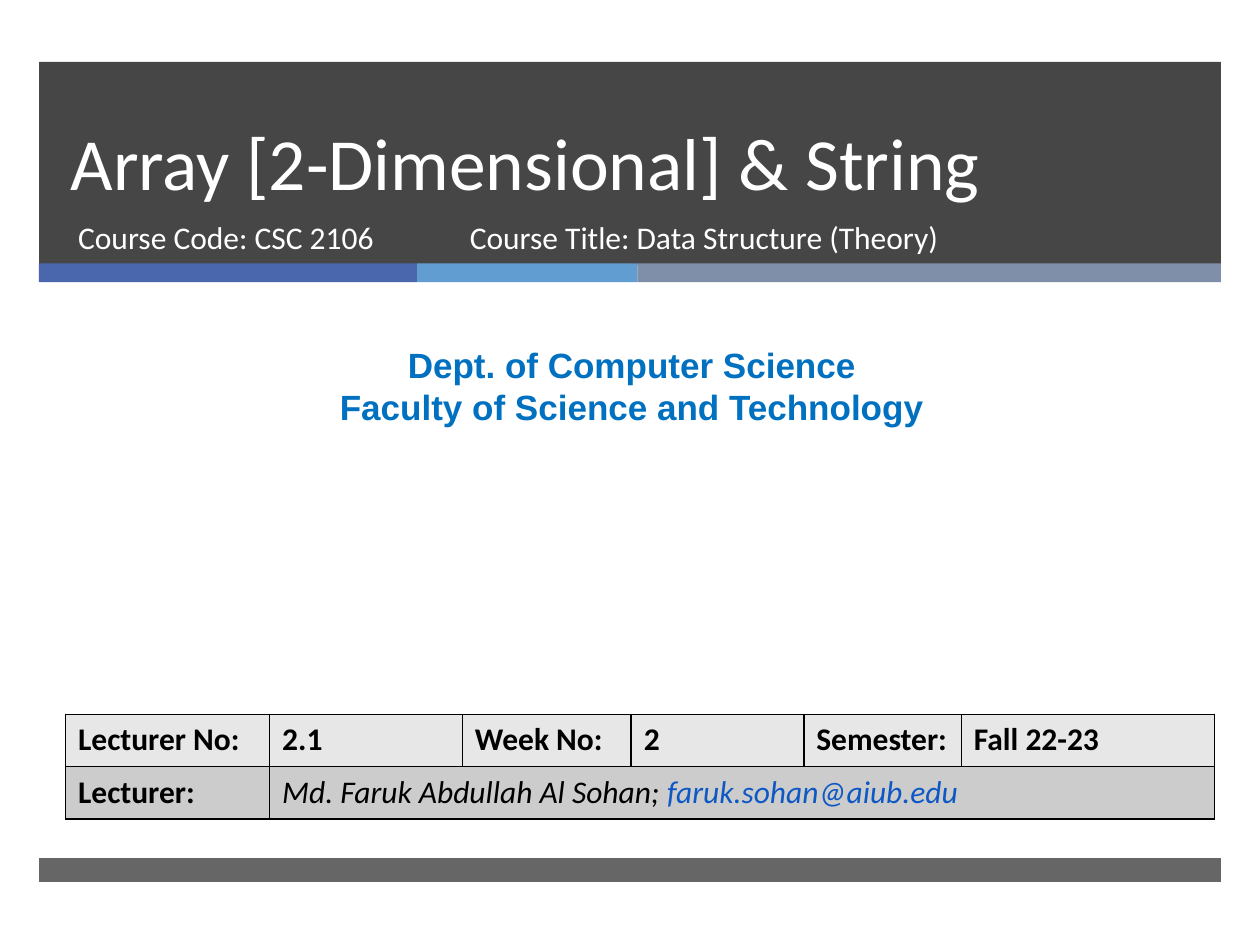
import pptx
import pptx.dml.color
import pptx.enum.shapes
import pptx.enum.text
import pptx.oxml
import pptx.oxml.ns
import pptx.util
from pptx.util import Inches

COLORS = {
    "dark": "262626", "blue": "4A66AC", "sky": "629DD1", "slate": "7F8FA9",
    "white": "FFFFFF", "dept": "0070C0", "black": "000000", "mail": "0E58C4",
    "light": "E7E7E7", "gray": "CCCCCC",
}
ALIGN = pptx.enum.text.PP_ALIGN
ANCHOR = pptx.enum.text.MSO_ANCHOR


def rgb(name):
    return pptx.dml.color.RGBColor.from_string(COLORS[name])


def style(font, size, color, face="Calibri", bold=False):
    font.name, font.size, font.bold = face, pptx.util.Pt(size), bold
    font.color.rgb = rgb(color)


def move(shape, left, top, width, height):
    shape.left, shape.top = left, top
    shape.width, shape.height = width, height


def bar(slide, left, top, width, height, color, alpha=None):
    """Draw a plain rectangle; alpha is its opacity in percent."""
    kind = pptx.enum.shapes.MSO_SHAPE.RECTANGLE
    shape = slide.shapes.add_shape(kind, left, top, width, height)
    shape.shadow.inherit = False
    shape.line.fill.background()
    shape.fill.solid()
    shape.fill.fore_color.rgb = rgb(color)
    if alpha:
        tone = shape.fill._xPr.find(".//" + pptx.oxml.ns.qn("a:srgbClr"))
        tone.append(pptx.oxml.parse_xml(
            f'<a:alpha {pptx.oxml.ns.nsdecls("a")} val="{alpha * 1000}"/>'))


def write(shape, lines, size, color, face="Calibri", bold=False,
          align=ALIGN.LEFT, anchor=ANCHOR.TOP, pitch=None):
    frame = shape.text_frame
    frame.word_wrap = True
    frame.auto_size = pptx.enum.text.MSO_AUTO_SIZE.NONE
    frame.vertical_anchor = anchor
    frame.text = "\n".join(lines)
    for para in frame.paragraphs:
        para.alignment = align
        para.space_before = pptx.util.Pt(0)
        if pitch:
            para.line_spacing = pptx.util.Pt(pitch)
        style(para.font, size, color, face, bold)


def header(slide, left, top, width, height):
    """Place the dark band, its stripes, the title and the course lines."""
    bar(slide, left, top, width, height, "dark", 85)
    edge = left
    for part, color in ((3, "blue"), (1.75, "sky"), (4.63, "slate")):
        bar(slide, edge, top + Inches(1.6), Inches(part), Inches(0.15), color)
        edge += Inches(part)

    title = slide.shapes.title
    move(title, left + Inches(0.15), top, Inches(8.54), Inches(1.19))
    write(title, ["Array [2-Dimensional] & String"], 42, "white",
          anchor=ANCHOR.BOTTOM, pitch=46)

    row, tall = top + Inches(1.19), Inches(0.53)
    code = slide.placeholders[1]
    move(code, left + Inches(0.21), row, Inches(3.05), tall)
    write(code, ["Course Code: CSC 2106"], 18, "white")
    course = slide.shapes.add_textbox(
        left + Inches(3.32), row, Inches(4.55), tall)
    write(course, ["Course Title: Data Structure (Theory)"], 18, "white")


def dept(slide, left, top, width, height):
    box = slide.shapes.add_textbox(left, top, width, height)
    write(box, ["Dept. of Computer Science",
                "Faculty of Science and Technology"],
          20, "dept", "Arial", True, ALIGN.CENTER, pitch=24)


def border(cell):
    """Give all four sides of a cell a thin black line."""
    props = cell._tc.get_or_add_tcPr()
    for spot, side in enumerate(("lnL", "lnR", "lnT", "lnB")):
        props.insert(spot, pptx.oxml.parse_xml(
            f'<a:{side} {pptx.oxml.ns.nsdecls("a")} w="12700"><a:solidFill>'
            f'<a:srgbClr val="{COLORS["black"]}"/></a:solidFill></a:{side}>'))


def details(slide, left, top, width, height):
    """Place the table of lecture details."""
    rows = (
        ("Lecturer No:", "2.1", "Week No:", "2", "Semester:", "Fall 22-23"),
        ("Lecturer:", "", "", "", "", ""),
    )
    table = slide.shapes.add_table(2, 6, left, top, width, height).table
    for col, wide in zip(table.columns, (1.62, 1.53, 1.34, 1.37, 1.25, 2.01)):
        col.width = Inches(wide)
    for r, (texts, color) in enumerate(zip(rows, ("light", "gray"))):
        for c, text in enumerate(texts):
            cell = table.cell(r, c)
            cell.fill.solid()
            cell.fill.fore_color.rgb = rgb(color)
            border(cell)
            cell.text = text
            style(cell.text_frame.paragraphs[0].font, 18, "black", bold=True)

    person = table.cell(1, 1)
    person.merge(table.cell(1, 5))
    para = person.text_frame.paragraphs[0]
    style(para.font, 18, "black")
    para.font.italic = True
    for text, color in (("Md. Faruk Abdullah Al Sohan; ", "black"),
                        ("faruk.sohan@aiub.edu", "mail")):
        run = para.add_run()
        run.text = text
        style(run.font, 18, color)
        run.font.italic = True


def main():
    deck = pptx.Presentation()
    deck.slide_width, deck.slide_height = Inches(10), Inches(7.5)
    slide = deck.slides.add_slide(deck.slide_layouts[0])
    left, width = Inches(0.31), Inches(9.38)
    header(slide, left, Inches(0.49), width, Inches(1.61))
    # The band is drawn after the placeholders, so lift their text above it.
    for holder in list(slide.placeholders):
        slide.shapes._spTree.append(holder._element)
    bar(slide, left, Inches(6.81), width, Inches(0.19), "dark", 70)
    dept(slide, Inches(0.08), Inches(2.68), Inches(9.87), Inches(0.77))
    details(slide, Inches(0.52), Inches(5.67), Inches(9.12), Inches(0.83))
    deck.save("out.pptx")


if __name__ == "__main__":
    main()
